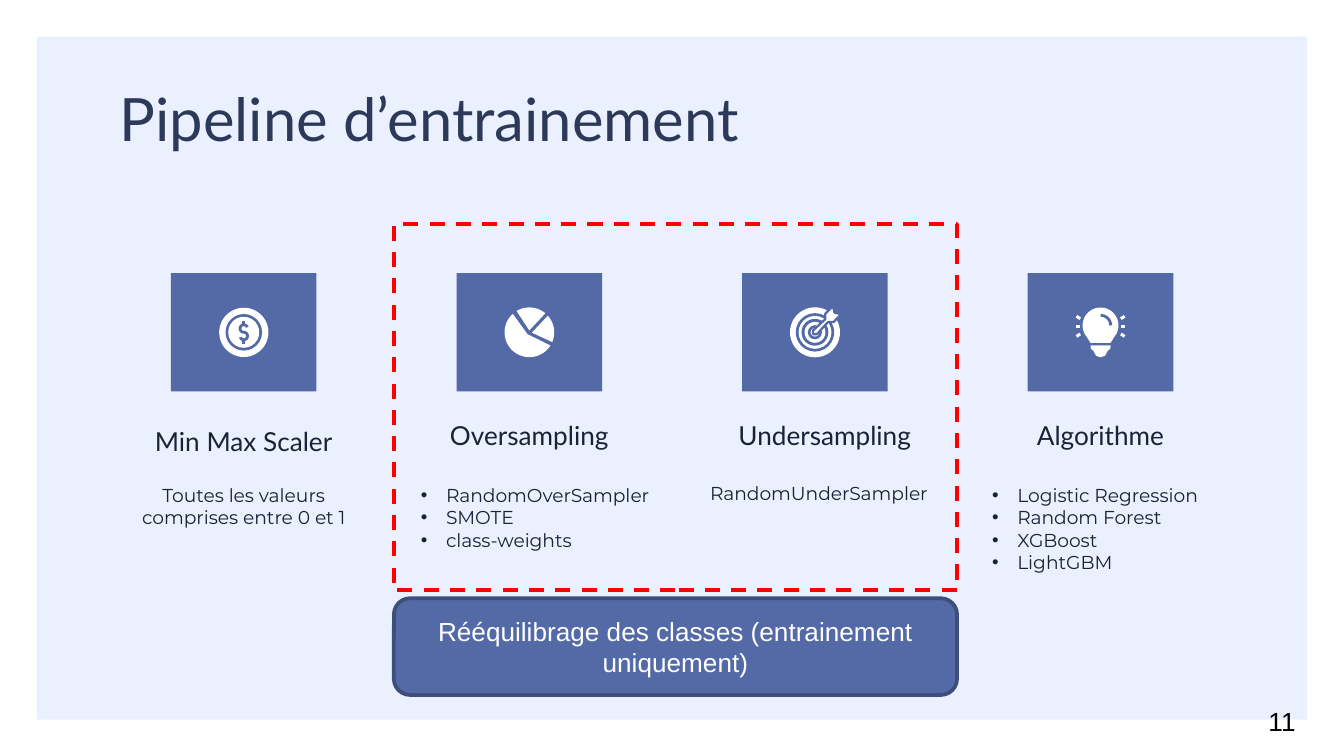
from math import cos, radians, sin

from lxml.etree import SubElement
from pptx import Presentation
from pptx.dml.color import RGBColor
from pptx.enum.dml import MSO_LINE
from pptx.enum.shapes import MSO_CONNECTOR, MSO_SHAPE as SHAPE
from pptx.enum.text import MSO_ANCHOR as ANCHOR, PP_ALIGN as ALIGN
from pptx.oxml.ns import qn
from pptx.util import Pt

COLORS = {
    "panel": "EBF0FF", "blue": "536AA6", "border": "3D4E7B", "title": "2D3959",
    "ink": "1B2235", "red": "FF0000", "white": "FFFFFF", "black": "000000",
}
LEFT, PITCH = 91.6, 153
TILE_W, TILE_H, TILE_TOP = 78, 63.5, 146.3
COLUMNS = [
    dict(head="Min Max Scaler", head_top=215.3, head_w=130.3,
         body="Toutes les valeurs comprises entre 0 et 1", body_w=130.3, body_h=49),
    dict(head="Oversampling", head_top=212.4, head_w=130.3,
         body="RandomOverSampler\nSMOTE\nclass-weights", body_w=141, body_h=49, bullet=True),
    dict(head="Undersampling", head_top=212.4, head_w=141,
         body="RandomUnderSampler", body_w=134.6, body_h=29.5),
    dict(head="Algorithme", head_top=212.4, head_w=130.3,
         body="Logistic Regression\nRandom Forest\nXGBoost\nLightGBM",
         body_w=130.3, body_h=68.4, bullet=True),
]


def rgb(name):
    return RGBColor.from_string(COLORS[name])


def paint(sp, fill=None, line=None, width=1):
    sp.shadow.inherit = False
    if fill:
        sp.fill.solid()
        sp.fill.fore_color.rgb = rgb(fill)
    else:
        sp.fill.background()
    if line:
        sp.line.color.rgb = rgb(line)
        sp.line.width = Pt(width)
    else:
        sp.line.fill.background()
    return sp


def add_box(s, kind, x, y, w, h, **style):
    return paint(s.shapes.add_shape(kind, Pt(x), Pt(y), Pt(w), Pt(h)), **style)


def add_disc(s, cx, cy, r, fill):
    return add_box(s, SHAPE.OVAL, cx - r, cy - r, 2 * r, 2 * r, fill=fill)


def add_outline(s, cx, cy, points, close=True, **style):
    pts = [(Pt(cx + x), Pt(cy + y)) for x, y in points]
    builder = s.shapes.build_freeform(*pts[0])
    builder.add_line_segments(pts[1:], close=close)
    return paint(builder.convert_to_shape(), **style)


def add_line(s, x1, y1, x2, y2, color, width):
    c = s.shapes.add_connector(MSO_CONNECTOR.STRAIGHT, Pt(x1), Pt(y1), Pt(x2), Pt(y2))
    c.line.color.rgb = rgb(color)
    c.line.width = Pt(width)
    SubElement(c._element.spPr, qn("a:effectLst"))


def arc(x, y, r, start, end, steps=40):
    angles = [radians(start + (end - start) * i / steps) for i in range(steps + 1)]
    return [(x + r * cos(a), y + r * sin(a)) for a in angles]


def set_bullet(p, color):
    pPr = p._p.get_or_add_pPr()
    pPr.set("marL", str(Pt(13.5)))
    pPr.set("indent", str(-Pt(13.5)))
    SubElement(SubElement(pPr, qn("a:buClr")), qn("a:srgbClr")).set("val", COLORS[color])
    SubElement(pPr, qn("a:buFont")).set("typeface", "Arial")
    SubElement(pPr, qn("a:buChar")).set("char", "•")


def write_text(sp, text, size=14, font="Arial", color="ink", align=ALIGN.LEFT,
               anchor=ANCHOR.TOP, bullet=False, inset=7.2):
    tf = sp.text_frame
    tf.word_wrap = True
    tf.vertical_anchor = anchor
    tf.margin_left = tf.margin_right = Pt(7.2)
    tf.margin_top = tf.margin_bottom = Pt(inset)
    for i, line in enumerate(text.split("\n")):
        p = tf.add_paragraph() if i else tf.paragraphs[0]
        p.alignment = align
        if bullet:
            set_bullet(p, color)
        r = p.add_run()
        r.text = line
        r.font.size = Pt(size)
        r.font.name = font
        r.font.color.rgb = rgb(color)


def add_text(s, x, y, w, h, text, **fmt):
    write_text(s.shapes.add_textbox(Pt(x), Pt(y), Pt(w), Pt(h)), text, **fmt)


def add_coin(s, cx, cy):
    for r, fill in ((13.2, "white"), (9.8, "blue"), (8.3, "white")):
        add_disc(s, cx, cy, r, fill)
    curve = arc(0, -2, 2, 340, 90) + arc(0, 2, 2, 270, 520)
    add_outline(s, cx, cy, curve, close=False, line="blue", width=1.5)
    for y in (-6, 4):
        add_line(s, cx, cy + y, cx, cy + y + 2, "blue", 1.5)


def add_pie(s, cx, cy):
    for apex, start, end in (((-1, 1), 32, 228), ((0, -1), 239, 310), ((1.3, 0.2), 318, 383)):
        add_outline(s, cx, cy, [apex] + arc(0, 0, 13.3, start, end), fill="white")


def add_target(s, cx, cy):
    for i, r in enumerate((13.4, 10.3, 8.8, 7.2, 5.6, 3.8, 2.3)):
        add_disc(s, cx, cy, r, "blue" if i % 2 else "white")
    arrow = [(-1, 1), (-1, -1), (5.5, -7), (5.5, -10), (9.7, -14), (10.5, -10.5),
             (14, -9.7), (10, -5.5), (7, -5.5), (1, 1)]
    add_outline(s, cx, cy, arrow, fill="white", line="blue", width=1.2)


def add_bulb(s, cx, cy):
    add_outline(s, cx, cy, [(5.4, 5.6), (-5.4, 5.6)] + arc(0, -3.7, 9.6, 140, 400), fill="white")
    add_outline(s, cx, cy, arc(0, -3.7, 5.4, 270, 360), close=False, line="blue", width=1.5)
    base = [(-5.4, 7), (5.4, 7), (5.2, 8.8), (3.8, 10), (2.4, 12.6), (0, 13.4),
            (-2.4, 12.6), (-3.8, 10), (-5.2, 8.8)]
    add_outline(s, cx, cy, base, fill="white")
    for side in (-1, 1):
        for y1, y2 in ((-7.3, -8.6), (-3.2, -3.2), (0.9, 2.2)):
            add_line(s, cx + side * 10.9, cy + y1, cx + side * 12.9, cy + y2, "white", 1.6)


def add_column(s, i, head, head_top, head_w, body, body_w, body_h, bullet=False):
    x = LEFT + PITCH * i
    text_x = x - 26.2
    add_box(s, SHAPE.RECTANGLE, x, TILE_TOP, TILE_W, TILE_H, fill="blue")
    add_icon = (add_coin, add_pie, add_target, add_bulb)[i]
    add_icon(s, x + TILE_W / 2, TILE_TOP + TILE_H / 2)
    add_text(s, text_x, head_top, head_w, 41.8, head, font="Lato",
             align=ALIGN.CENTER, anchor=ANCHOR.MIDDLE)
    add_text(s, text_x, 252, body_w, body_h, body, size=10, font="Montserrat",
             align=ALIGN.LEFT if bullet else ALIGN.CENTER, bullet=bullet)


def main():
    prs = Presentation()
    prs.slide_width, prs.slide_height = Pt(720), Pt(405)
    s = prs.slides.add_slide(prs.slide_layouts[6])
    add_box(s, SHAPE.RECTANGLE, 19.6, 19.6, 680.6, 366, fill="panel")
    add_text(s, 57, 36.7, 607, 46.8, "Pipeline d’entrainement", size=32, font="Lato", color="title")
    for i, column in enumerate(COLUMNS):
        add_column(s, i, **column)
    frame = add_box(s, SHAPE.RECTANGLE, 211, 120, 301.7, 196.3, line="red", width=2)
    frame.line.dash_style = MSO_LINE.DASH
    banner = add_box(s, SHAPE.ROUNDED_RECTANGLE, 211, 320.5, 301.7, 51.8,
                     fill="blue", line="border", width=2)
    write_text(banner, "Rééquilibrage des classes (entrainement uniquement)", color="white",
               align=ALIGN.CENTER, anchor=ANCHOR.MIDDLE, inset=3.6)
    add_text(s, 672.5, 374.6, 47.5, 24.2, "11", color="black", inset=3.6)
    prs.save("out.pptx")


if __name__ == "__main__":
    main()
